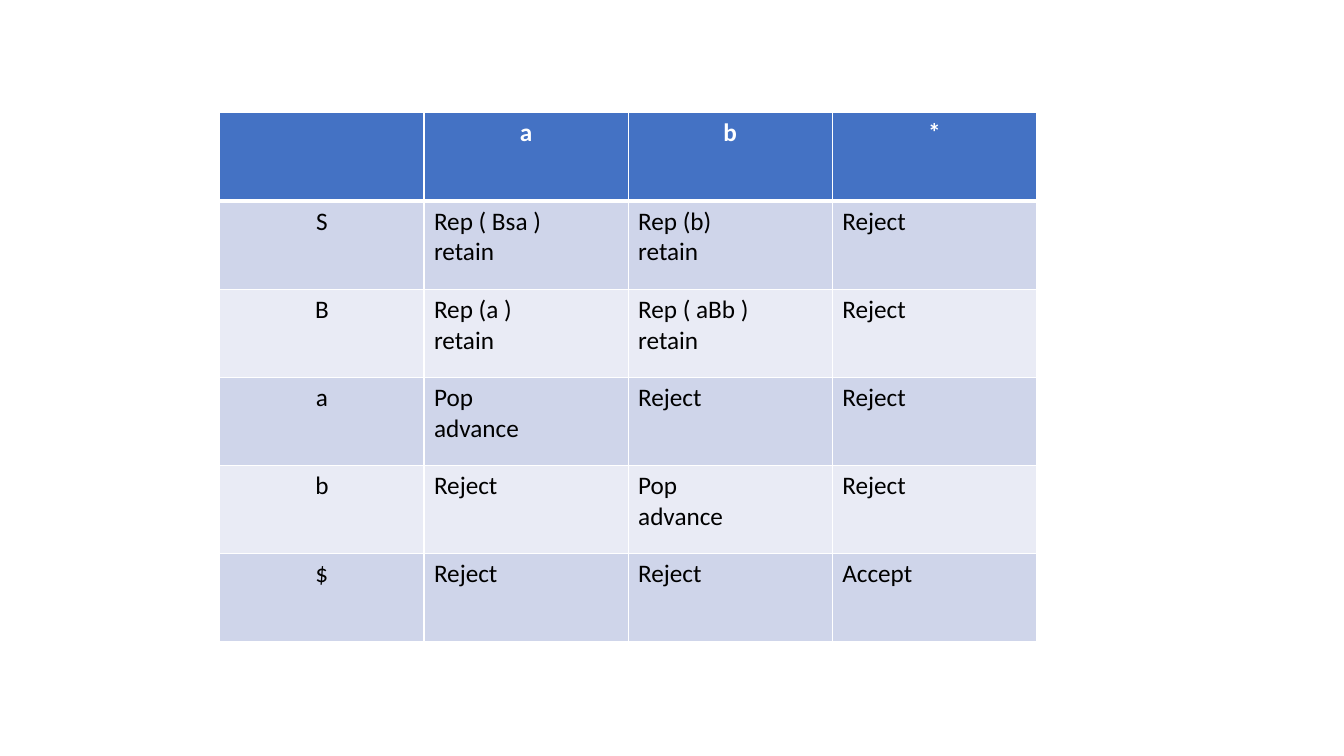
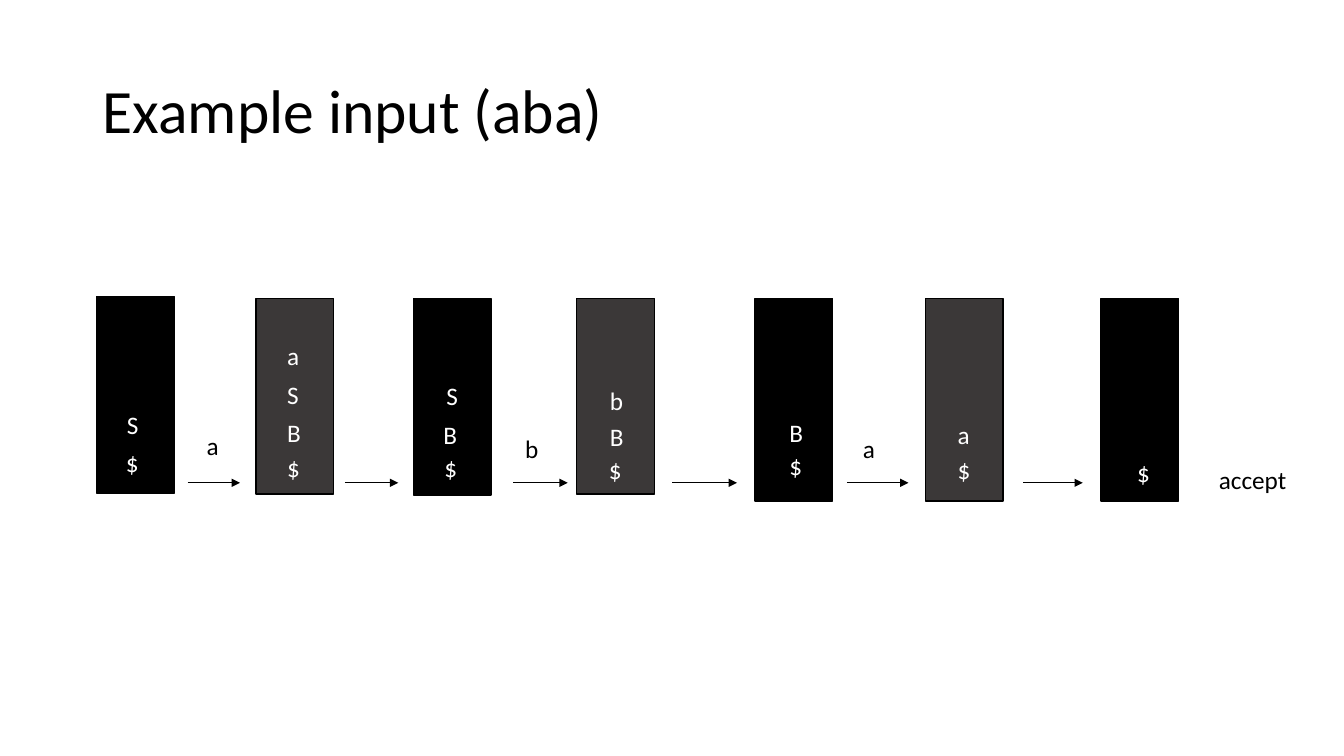
import dataclasses
import pptx
import pptx.dml.color
import pptx.enum.shapes
import pptx.enum.text
import pptx.oxml.ns
import pptx.util
import lxml.etree


@dataclasses.dataclass(frozen=True)
class Theme:
    font: str = "Calibri"
    body: float = 18
    title: float = 44
    ink: str = "000000"
    paper: str = "FFFFFF"
    header: str = "4472C4"
    bands: tuple = ("CFD5EA", "E9EBF5")
    stacks: tuple = ("000000", "3B3838")
    border: float = 1
    header_border: float = 3
    arrow: float = 0.5


theme = Theme()
SLIDE = (13.33, 7.5)

TRANSITIONS = [
    ["", "a", "b", "*"],
    ["S", "Rep ( Bsa )\nretain", "Rep (b)\nretain", "Reject"],
    ["B", "Rep (a )\nretain", "Rep ( aBb )\nretain", "Reject"],
    ["a", "Pop\nadvance", "Reject", "Reject"],
    ["b", "Reject", "Pop\nadvance", "Reject"],
    ["$", "Reject", "Reject", "Accept"],
]
TRANSITION_AREA = (2.18, 1.12, 8.1, 5.25)

HEADING = "Example input (aba)"
HEADING_AREA = (0.92, 0.4, 11.5, 1.45)

STACK_WIDTH = 0.77
STACKS = [
    (0.96, 2.94, 1.95, [("S", 1.16, 4.01), ("$", 1.15, 4.39)]),
    (2.54, 2.96, 1.94, [("a", 2.75, 3.33), ("S", 2.75, 3.71), ("B", 2.75, 4.09), ("$", 2.75, 4.44)]),
    (4.1, 2.96, 1.95, [("S", 4.33, 3.72), ("B", 4.3, 4.11), ("$", 4.31, 4.44)]),
    (5.72, 2.96, 1.94, [("b", 5.95, 3.77), ("B", 5.95, 4.13), ("$", 5.94, 4.46)]),
    (7.49, 2.96, 2.01, [("B", 7.73, 4.09), ("$", 7.73, 4.42)]),
    (9.18, 2.96, 2.01, [("a", 9.4, 4.11), ("$", 9.4, 4.46)]),
    (10.92, 2.96, 2.01, [("$", 11.18, 4.49)]),
]
STEP_ROW = 4.79
STEPS = [(1.86, 2.38), (3.42, 3.95), (5.09, 5.63), (6.67, 7.31), (8.4, 9.01), (10.15, 10.74)]
INPUTS = [("a", 1.95, 4.22), ("b", 5.11, 4.25), ("a", 8.46, 4.25)]
SYMBOL_SIZE = (0.45, 0.4)
OUTCOME = "accept"
OUTCOME_AREA = (11.99, 4.56, 1.12, 0.4)


def inches(lengths):
    return [pptx.util.Inches(length) for length in lengths]


def rgb(color):
    return pptx.dml.color.RGBColor.from_string(color)


def write(frame, text, *, size=theme.body, color=theme.ink, bold=False, centred=False, spacing=None):
    frame.text = text
    for paragraph in frame.paragraphs:
        if centred:
            paragraph.alignment = pptx.enum.text.PP_ALIGN.CENTER
        if spacing:
            paragraph.line_spacing = spacing
        paragraph.font.name = theme.font
        paragraph.font.size = pptx.util.Pt(size)
        paragraph.font.bold = bold
        paragraph.font.color.rgb = rgb(color)


def add_label(slide, text, area, **style):
    frame = slide.shapes.add_textbox(*inches(area)).text_frame
    frame.word_wrap = True
    write(frame, text, **style)
    return frame


def set_borders(cell, bottom):
    properties = cell._tc.get_or_add_tcPr()
    widths = {"lnL": theme.border, "lnR": theme.border, "lnT": theme.border, "lnB": bottom}
    for place, (side, width) in enumerate(widths.items()):
        edge = lxml.etree.Element(pptx.oxml.ns.qn("a:" + side), w=str(pptx.util.Pt(width)))
        fill = lxml.etree.SubElement(edge, pptx.oxml.ns.qn("a:solidFill"))
        lxml.etree.SubElement(fill, pptx.oxml.ns.qn("a:srgbClr"), val=theme.paper)
        properties.insert(place, edge)


def add_transitions(slide):
    left, top, width, height = TRANSITION_AREA
    rows, columns = len(TRANSITIONS), len(TRANSITIONS[0])
    grid = slide.shapes.add_table(rows, columns, *inches(TRANSITION_AREA)).table
    for column in grid.columns:
        column.width = pptx.util.Inches(width / columns)
    for row in grid.rows:
        row.height = pptx.util.Inches(height / rows)
    for r, actions in enumerate(TRANSITIONS):
        heads = r == 0
        for c, action in enumerate(actions):
            cell = grid.cell(r, c)
            cell.fill.solid()
            cell.fill.fore_color.rgb = rgb(theme.header if heads else theme.bands[(r - 1) % 2])
            set_borders(cell, theme.header_border if heads else theme.border)
            write(cell.text_frame, action, bold=heads, centred=heads or c == 0,
                  color=theme.paper if heads else theme.ink)


def add_stack(slide, left, top, height, color):
    stack = slide.shapes.add_shape(pptx.enum.shapes.MSO_SHAPE.RECTANGLE,
                                   *inches((left, top, STACK_WIDTH, height)))
    stack.shadow.inherit = False
    stack.fill.solid()
    stack.fill.fore_color.rgb = rgb(color)
    stack.line.color.rgb = rgb(theme.ink)
    stack.line.width = pptx.util.Pt(theme.border)


def add_step(slide, start, end):
    arrow = slide.shapes.add_connector(pptx.enum.shapes.MSO_CONNECTOR.STRAIGHT,
                                       *inches((start, STEP_ROW, end, STEP_ROW)))
    arrow.line.color.rgb = rgb(theme.ink)
    arrow.line.width = pptx.util.Pt(theme.arrow)
    lxml.etree.SubElement(arrow.line._get_or_add_ln(), pptx.oxml.ns.qn("a:tailEnd"), type="triangle")
    lxml.etree.SubElement(arrow._element.spPr, pptx.oxml.ns.qn("a:effectLst"))


def add_trace(slide):
    heading = add_label(slide, HEADING, HEADING_AREA, size=theme.title, spacing=0.9)
    heading.vertical_anchor = pptx.enum.text.MSO_ANCHOR.MIDDLE
    for order, (left, top, height, symbols) in enumerate(STACKS):
        add_stack(slide, left, top, height, theme.stacks[order % 2])
        for symbol, *corner in symbols:
            add_label(slide, symbol, (*corner, *SYMBOL_SIZE), color=theme.paper)
    for start, end in STEPS:
        add_step(slide, start, end)
    for symbol, *corner in INPUTS:
        add_label(slide, symbol, (*corner, *SYMBOL_SIZE))
    add_label(slide, OUTCOME, OUTCOME_AREA)


deck = pptx.Presentation()
deck.slide_width, deck.slide_height = inches(SLIDE)
for fill_slide in (add_transitions, add_trace):
    fill_slide(deck.slides.add_slide(deck.slide_layouts[6]))
deck.save("out.pptx")
